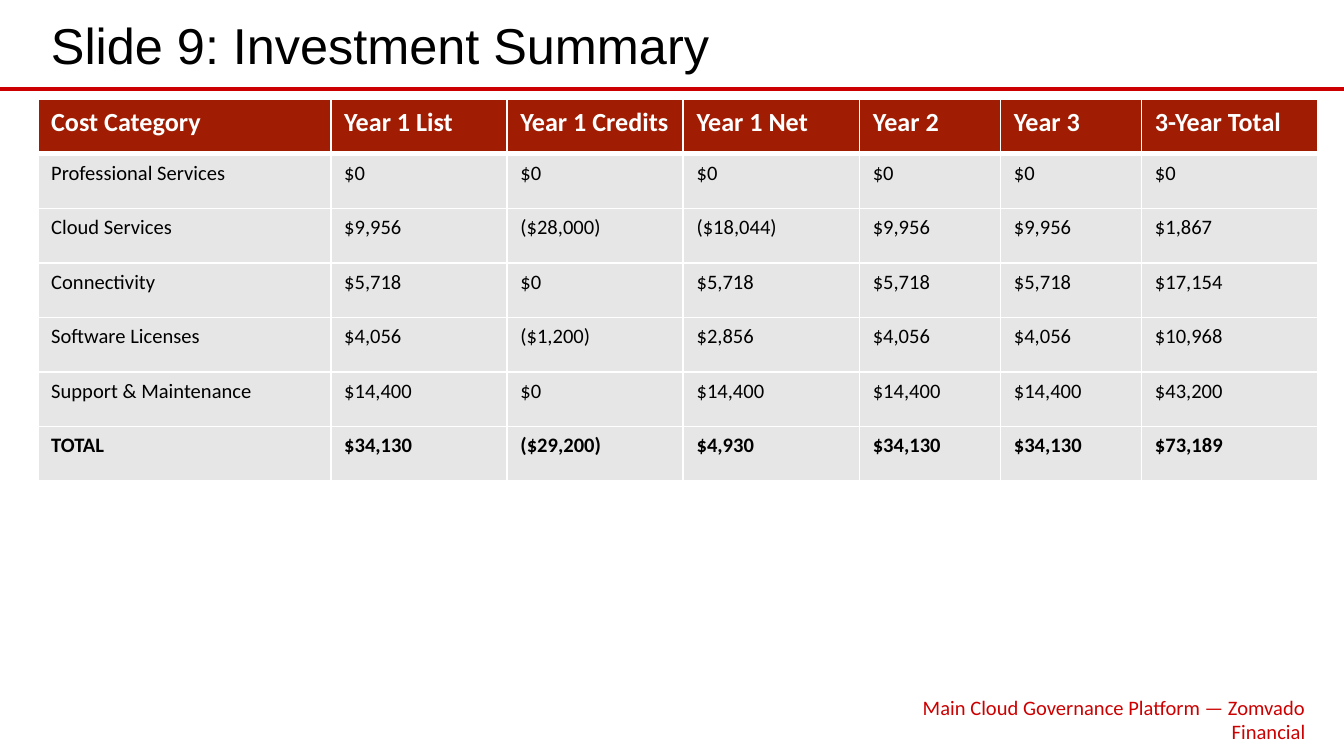
import pptx
import pptx.dml.color
import pptx.enum.shapes
import pptx.enum.text
import pptx.oxml
import pptx.oxml.ns
import pptx.util

Pt = pptx.util.Pt
RGBColor = pptx.dml.color.RGBColor
Align = pptx.enum.text.PP_ALIGN
Anchor = pptx.enum.text.MSO_ANCHOR

BLACK = RGBColor(0x00, 0x00, 0x00)
WHITE = RGBColor(0xFF, 0xFF, 0xFF)
RED = RGBColor(0xCC, 0x00, 0x00)
BRICK = RGBColor(0xA0, 0x1C, 0x02)
GREY = RGBColor(0xE7, 0xE6, 0xE6)

PAGE_WIDTH, PAGE_HEIGHT = 720, 405
LEFT, CONTENT_WIDTH = 20.2, 686
COLUMN_WIDTHS = [157, 94.4, 94.4, 94.4, 75.6, 75.6, 94.4]
ROW_HEIGHT = 29.2

COSTS = [
    ["Cost Category", "Year 1 List", "Year 1 Credits", "Year 1 Net",
     "Year 2", "Year 3", "3-Year Total"],
    ["Professional Services", "$0", "$0", "$0", "$0", "$0", "$0"],
    ["Cloud Services", "$9,956", "($28,000)", "($18,044)",
     "$9,956", "$9,956", "$1,867"],
    ["Connectivity", "$5,718", "$0", "$5,718",
     "$5,718", "$5,718", "$17,154"],
    ["Software Licenses", "$4,056", "($1,200)", "$2,856",
     "$4,056", "$4,056", "$10,968"],
    ["Support & Maintenance", "$14,400", "$0", "$14,400",
     "$14,400", "$14,400", "$43,200"],
    ["TOTAL", "$34,130", "($29,200)", "$4,930",
     "$34,130", "$34,130", "$73,189"],
]


def write_text(frame, text, *, size, color=BLACK, font="Calibri", bold=False,
               align=Align.LEFT):
    para = frame.paragraphs[0]
    para.alignment = align
    span = para.add_run()
    span.text = text
    span.font.name = font
    span.font.size = Pt(size)
    span.font.bold = bold
    span.font.color.rgb = color


def add_text_box(page, left, top, width, height, text, *,
                 anchor=Anchor.TOP, **text_format):
    box = page.shapes.add_textbox(Pt(left), Pt(top), Pt(width), Pt(height))
    box.text_frame.word_wrap = True
    box.text_frame.vertical_anchor = anchor
    write_text(box.text_frame, text, **text_format)


def add_rule(page, y):
    rule = page.shapes.add_connector(
        pptx.enum.shapes.MSO_CONNECTOR.STRAIGHT,
        Pt(0), Pt(y), Pt(PAGE_WIDTH), Pt(y))
    rule.line.color.rgb = RED
    rule.line.width = Pt(2.25)
    properties = rule.element.spPr
    properties.append(pptx.oxml.parse_xml(
        f"<a:effectLst {pptx.oxml.ns.nsdecls('a')}/>"))


def set_borders(cell, top, bottom):
    """Draw white borders; the side borders are 1 point wide."""
    properties = cell._tc.get_or_add_tcPr()
    sides = {"lnL": 1, "lnR": 1, "lnT": top, "lnB": bottom}
    for position, (side, width) in enumerate(sides.items()):
        properties.insert(position, pptx.oxml.parse_xml(
            f'<a:{side} {pptx.oxml.ns.nsdecls("a")} w="{Pt(width)}">'
            f'<a:solidFill><a:srgbClr val="{WHITE}"/></a:solidFill>'
            f'</a:{side}>'))


def add_cost_table(page, top):
    table = page.shapes.add_table(
        len(COSTS), len(COLUMN_WIDTHS), Pt(LEFT), Pt(top),
        Pt(sum(COLUMN_WIDTHS)), Pt(ROW_HEIGHT * len(COSTS))).table
    for column, width in zip(table.columns, COLUMN_WIDTHS):
        column.width = Pt(width)
    last = len(COSTS) - 1
    for index, (row, texts) in enumerate(zip(table.rows, COSTS)):
        row.height = Pt(ROW_HEIGHT)
        header = index == 0
        for cell, text in zip(row.cells, texts):
            cell.fill.solid()
            cell.fill.fore_color.rgb = BRICK if header else GREY
            set_borders(cell, top=3 if index == 1 else 1,
                        bottom=3 if header else 1)
            write_text(cell.text_frame, text, size=14 if header else 11,
                       color=WHITE if header else BLACK,
                       bold=index in (0, last))


def main():
    deck = pptx.Presentation()
    deck.slide_width, deck.slide_height = Pt(PAGE_WIDTH), Pt(PAGE_HEIGHT)
    page = deck.slides.add_slide(deck.slide_layouts[6])
    add_rule(page, 47.7)
    add_text_box(page, LEFT, 3, CONTENT_WIDTH, 41.6,
                 "Slide 9: Investment Summary",
                 anchor=Anchor.MIDDLE, size=27, font="Arial")
    add_cost_table(page, 53.3)
    add_text_box(page, 453, 368.6, 253.4, 18.7,
                 "Main Cloud Governance Platform — Zomvado Financial",
                 size=11, color=RED, align=Align.RIGHT)
    deck.save("out.pptx")


if __name__ == "__main__":
    main()
